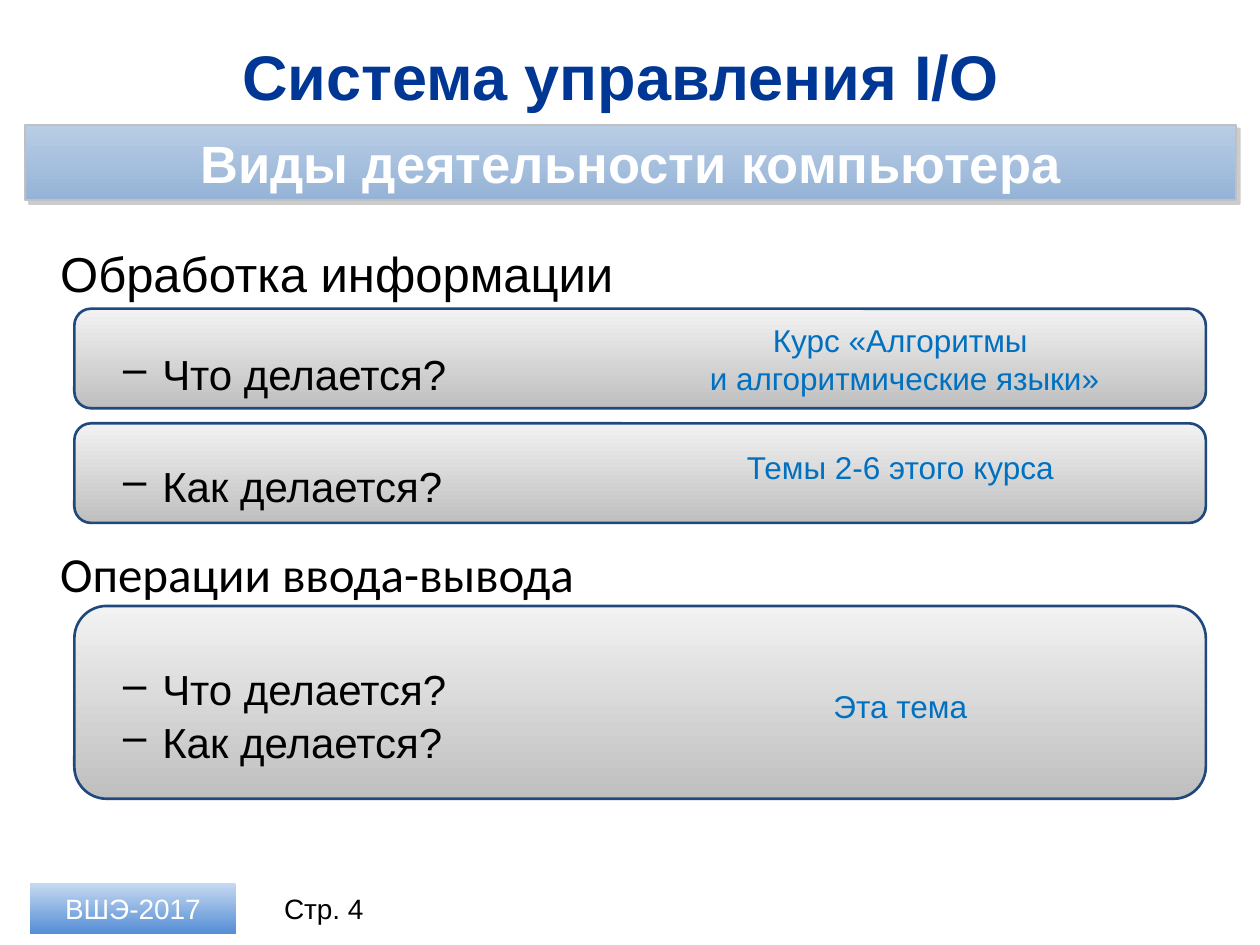
"""Build the slide on kinds of computer activity."""
import lxml.etree
import pptx
import pptx.dml.color
import pptx.enum.shapes
import pptx.enum.text
import pptx.oxml
import pptx.oxml.ns
import pptx.util

Inches, Pt = pptx.util.Inches, pptx.util.Pt
KIND = pptx.enum.shapes.MSO_SHAPE
MID = pptx.enum.text.MSO_ANCHOR.MIDDLE
TOP = pptx.enum.text.MSO_ANCHOR.TOP
CENTER = pptx.enum.text.PP_ALIGN.CENTER
LEFT = pptx.enum.text.PP_ALIGN.LEFT
qn = pptx.oxml.ns.qn

HEX = {
    "title": "003794", "white": "FFFFFF", "black": "000000", "note": "0070C0",
    "pale": "B9CDE5", "steel": "95B3D7", "edge": "C0C0C0", "sky": "C6D9F1",
    "blue": "558ED5", "light": "F2F2F2", "gray": "BFBFBF", "navy": "1F497D",
}
TITLE = ("Система управления I/O ", {"size": 36, "bold": True, "color": "title"})
BANNER = ("Виды деятельности компьютера", {"size": 30, "bold": True, "color": "white"})
BADGE = ("ВШЭ-2017", {"size": 16, "color": "white"})
PAGE = ("Стр. 4", {"size": 16})
HEAD = {"size": 28}
ITEM = {"size": 24, "dash": True}
BODY = [
    ("Обработка информации", HEAD),
    ("Что делается?", {**ITEM, "line": 1.7, "before": 6.5}),
    ("Как делается?", {**ITEM, "line": 2.0, "before": 6.5, "after": 12}),
    ("Операции ввода-вывода", {**HEAD, "name": "Calibri", "before": 6.5}),
    ("Что делается?", {**ITEM, "line": 2.0, "before": 6.5}),
    ("Как делается?", {**ITEM, "before": 1}),
]
PANELS = [(4.81, 1.53), (3.36, 0.79), (2.45, 0.79)]
NOTES = [
    ("Курс «Алгоритмы\v и алгоритмические языки»", 2.5, 0.7),
    ("Темы 2-6 этого курса", 3.51, 0.4),
    ("Эта тема", 5.4, 0.4),
]


def rgb(name):
    return pptx.dml.color.RGBColor.from_string(HEX[name])


def place(shape, box):
    for key, val in zip(("left", "top", "width", "height"), box):
        setattr(shape, key, Inches(val))


def write(shape, rows, align=CENTER, anchor=MID):
    frame = shape.text_frame
    frame.auto_size = pptx.enum.text.MSO_AUTO_SIZE.NONE
    frame.word_wrap = True
    frame.vertical_anchor = anchor
    for num, (text, form) in enumerate(rows):
        para = frame.add_paragraph() if num else frame.paragraphs[0]
        para.text = text
        if form.get("dash"):
            props = para._p.get_or_add_pPr()
            props.set("marL", str(Inches(0.81)))
            props.set("indent", str(Inches(-0.31)))
            lxml.etree.SubElement(props, qn("a:buChar")).set("char", "–")
        looks = {
            "alignment": align,
            "line_spacing": form.get("line", 1.0),
            "space_before": Pt(form.get("before", 0)),
            "space_after": Pt(form.get("after", 0)),
        }
        for key, val in looks.items():
            setattr(para, key, val)
        fonts = {
            "name": form.get("name", "Arial"),
            "size": Pt(form["size"]),
            "bold": form.get("bold", False),
        }
        for run in para.runs:
            for key, val in fonts.items():
                setattr(run.font, key, val)
            run.font.color.rgb = rgb(form.get("color", "black"))


def panel(slide, kind, box, fade, edge=None, width=1.0):
    shape = slide.shapes.add_shape(kind, *map(Inches, box))
    shape.shadow.inherit = False
    shape.fill.gradient()
    shape.fill.gradient_angle = 270
    for stop, name in zip(shape.fill.gradient_stops, fade):
        stop.color.rgb = rgb(name)
    if edge:
        shape.line.color.rgb = rgb(edge)
        shape.line.width = Pt(width)
    else:
        shape.line.fill.background()
    return shape


def shade(shape):
    effect = shape._element.spPr.find(qn("a:effectLst"))
    effect.append(pptx.oxml.parse_xml(
        '<a:outerShdw xmlns:a="http://schemas.openxmlformats.org/drawingml/2006/main"'
        ' blurRad="0" dist="38100" dir="2700000" algn="tl" rotWithShape="0">'
        '<a:srgbClr val="808080"><a:alpha val="40000"/></a:srgbClr></a:outerShdw>'))


def label(slide, box, rows, **form):
    write(slide.shapes.add_textbox(*map(Inches, box)), rows, **form)


def main():
    deck = pptx.Presentation()
    deck.slide_width, deck.slide_height = Inches(10), Inches(7.5)
    slide = deck.slides.add_slide(deck.slide_layouts[5])

    title = slide.shapes.title
    place(title, (0.35, 0.26, 9.29, 0.68))
    write(title, [TITLE])

    banner = panel(slide, KIND.RECTANGLE, (0.2, 0.99, 9.61, 0.6), ("pale", "steel"), "edge")
    shade(banner)
    write(banner, [BANNER])

    badge = panel(slide, KIND.RECTANGLE, (0.24, 7.01, 1.63, 0.4), ("sky", "blue"))
    write(badge, [BADGE])
    label(slide, (2.03, 7.01, 1.08, 0.4), [PAGE])

    for top, high in PANELS:
        panel(slide, KIND.ROUNDED_RECTANGLE, (0.59, top, 8.98, high),
              ("light", "gray"), "navy", 1.5)
    label(slide, (0.38, 1.88, 9.34, 4.7), BODY, align=LEFT, anchor=TOP)
    for text, top, high in NOTES:
        label(slide, (5, top, 4.29, high), [(text, {"size": 18, "color": "note"})], anchor=TOP)

    deck.save("out.pptx")


if __name__ == "__main__":
    main()
